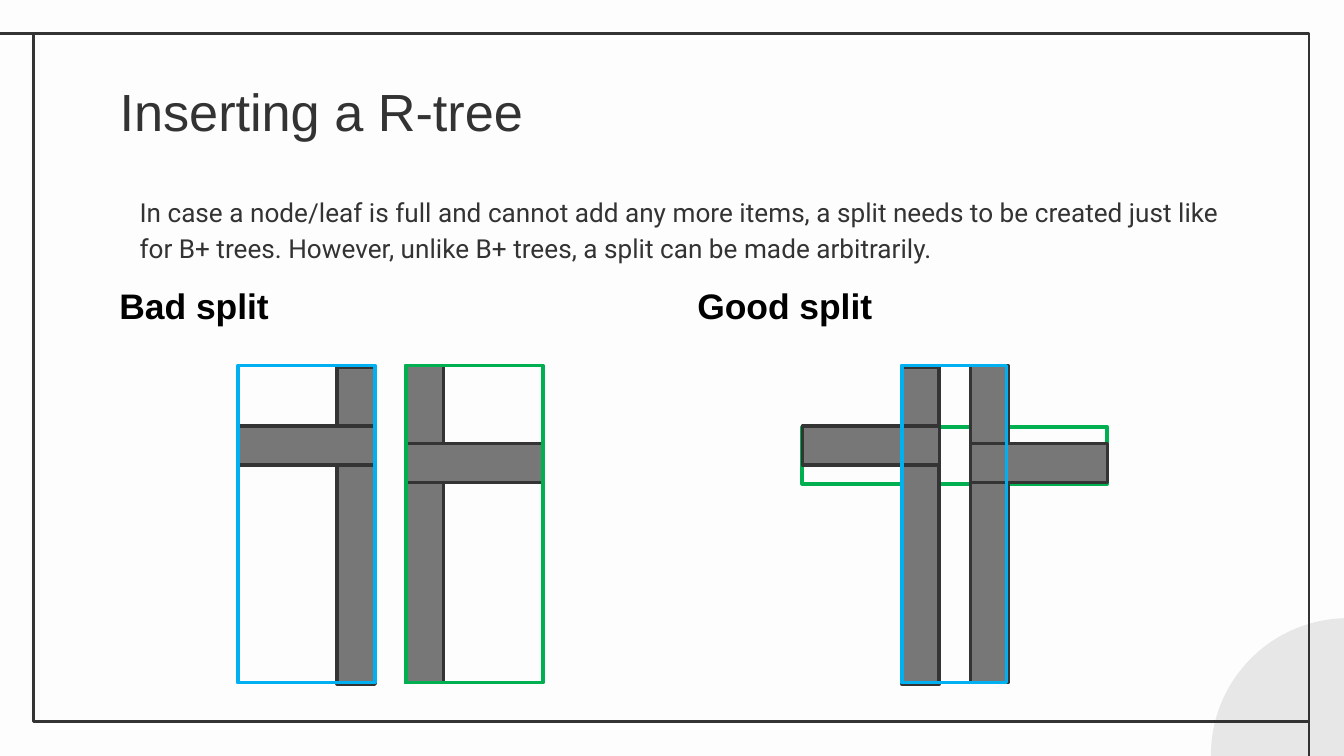
from dataclasses import dataclass
from typing import Optional

from lxml import etree
from pptx import Presentation
from pptx.dml.color import RGBColor
from pptx.enum.shapes import MSO_CONNECTOR, MSO_SHAPE
from pptx.enum.text import MSO_ANCHOR, PP_ALIGN
from pptx.oxml.ns import qn
from pptx.util import Inches, Pt

RECT, OVAL = MSO_SHAPE.RECTANGLE, MSO_SHAPE.OVAL
STRAIGHT = MSO_CONNECTOR.STRAIGHT
TOP, BOTTOM = MSO_ANCHOR.TOP, MSO_ANCHOR.BOTTOM
LEFT = PP_ALIGN.LEFT

# Widescreen 16:9 page
WIDTH = 10
HEIGHT = WIDTH * 9 / 16
INK, BLACK, EDGE, GRAY = "333333", "000000", "343434", "777777"
BLUE, GREEN = "00B0F0", "00B050"

# Bar sizes: every tall and wide bar shares the same thickness and length
TALL_W, TALL_H = 0.28, 2.36
WIDE_W, WIDE_H = 1.02, 0.29


@dataclass
class Box:
    left: float
    top: float
    width: float
    height: float
    fill: Optional[str] = None
    line: Optional[str] = None
    weight: float = 2
    kind: int = RECT


def rgb(value: str) -> RGBColor:
    return RGBColor.from_string(value)


def draw_box(s, box: Box) -> None:
    sp = s.shapes.add_shape(box.kind, *map(Inches, (box.left, box.top, box.width, box.height)))
    sp.shadow.inherit = False
    if box.fill:
        sp.fill.solid()
        sp.fill.fore_color.rgb = rgb(box.fill)
    else:
        sp.fill.background()
    if box.line:
        sp.line.color.rgb = rgb(box.line)
        sp.line.width = Pt(box.weight)
    else:
        sp.line.fill.background()


def draw_line(s, x1: float, y1: float, x2: float, y2: float) -> None:
    cxn = s.shapes.add_connector(STRAIGHT, *map(Inches, (x1, y1, x2, y2)))
    cxn.line.color.rgb = rgb(INK)
    cxn.line.width = Pt(1.5)
    etree.SubElement(cxn._element.spPr, qn("a:effectLst"))


def write_text(sp, text: str, color: str, anchor=TOP, **font):
    tf = sp.text_frame
    frame = dict(word_wrap=True, vertical_anchor=anchor,
                 margin_left=Inches(0.1), margin_right=Inches(0.1),
                 margin_top=Inches(0.1), margin_bottom=Inches(0.1))
    for name, value in frame.items():
        setattr(tf, name, value)
    p = tf.paragraphs[0]
    p.alignment = LEFT
    r = p.add_run()
    r.text = text
    for name, value in font.items():
        setattr(r.font, name, value)
    r.font.color.rgb = rgb(color)
    return p


def add_text(s, left: float, top: float, width: float, height: float):
    return s.shapes.add_textbox(*map(Inches, (left, top, width, height)))


def tall_bar(left: float, top: float) -> Box:
    return Box(left, top, TALL_W, TALL_H, GRAY, EDGE)


def wide_bar(left: float, top: float) -> Box:
    return Box(left, top, WIDE_W, WIDE_H, GRAY, EDGE)


def left_pair(left: float) -> list[Box]:
    """Tall bar flush with the right end of a wide bar."""
    return [tall_bar(left + WIDE_W - TALL_W, 2.73), wide_bar(left, 3.17)]


def right_pair(left: float) -> list[Box]:
    """Tall bar flush with the left end of a wide bar."""
    return [tall_bar(left, 2.72), wide_bar(left, 3.3)]


def main() -> None:
    prs = Presentation()
    prs.slide_width, prs.slide_height = Inches(WIDTH), Inches(HEIGHT)
    s = prs.slides.add_slide(prs.slide_layouts[5])
    s.background.fill.solid()
    s.background.fill.fore_color.rgb = rgb("FDFDFD")

    # Corner circle and page frame
    draw_box(s, Box(9.01, 4.6, 2.04, 2.04, fill="E8E7E7", kind=OVAL))
    draw_box(s, Box(0.25, 0.25, 9.49, 5.12, line=INK, weight=1.5))
    draw_line(s, 0.26, 0.25, 0, 0.25)
    draw_line(s, 9.74, 5.37, 9.74, HEIGHT)

    # Title
    title = s.shapes.title
    place = dict(left=0.79, top=0.49, width=8.43, height=0.63)
    for name, value in place.items():
        setattr(title, name, Inches(value))
    write_text(title, "Inserting a R-tree", INK, name="Arial", size=Pt(28))

    # Explanation
    body = add_text(s, 0.79, 1.33, 8.43, 3.54)
    p = write_text(
        body,
        "In case a node/leaf is full and cannot add any more items, a split needs "
        "to be created just like for B+ trees. However, unlike B+ trees, a split "
        "can be made arbitrarily.",
        INK, name="Roboto", size=Pt(14))
    p.line_spacing = 1.15
    p._p.get_or_add_pPr().set("marL", str(Inches(0.15)))

    # Column headings
    for left, heading in ((0.79, "Bad split"), (5.09, "Good split")):
        write_text(add_text(s, left, 2.13, 4.13, 0.4), heading, BLACK, BOTTOM,
                   name="Arial", size=Pt(19), bold=True)

    # Bad split: each bounding box holds one tall and one wide bar
    bad = [
        *left_pair(1.77),
        *right_pair(3.02),
        Box(3.02, 2.72, WIDE_W, TALL_H, line=GREEN),
        Box(1.77, 2.72, WIDE_W, TALL_H, line=BLUE),
    ]
    # Good split: tall bars share one bounding box, wide bars the other
    good = [
        Box(5.97, 3.18, 2.27, 0.42, line=GREEN),
        *left_pair(5.97),
        *right_pair(7.22),
        Box(6.71, 2.72, 0.78, TALL_H, line=BLUE),
    ]
    for box in bad + good:
        draw_box(s, box)

    prs.save("out.pptx")


if __name__ == "__main__":
    main()
